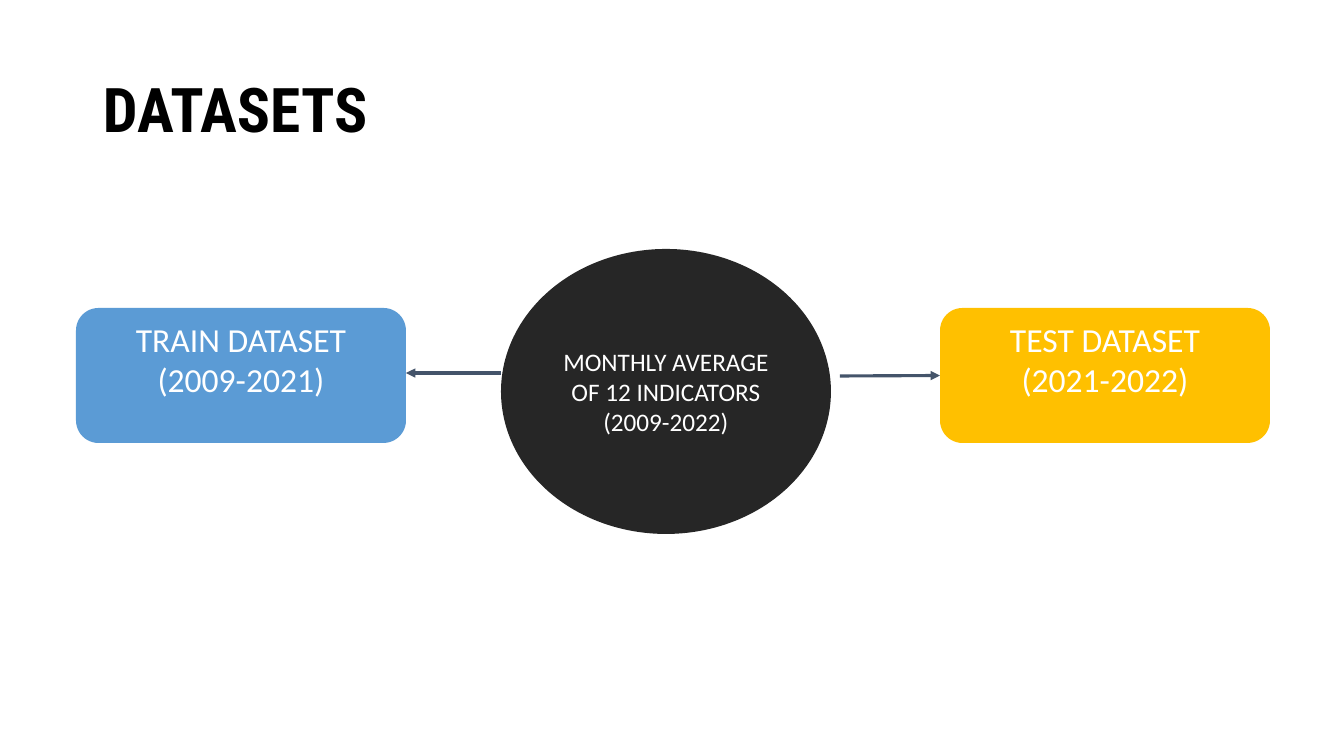
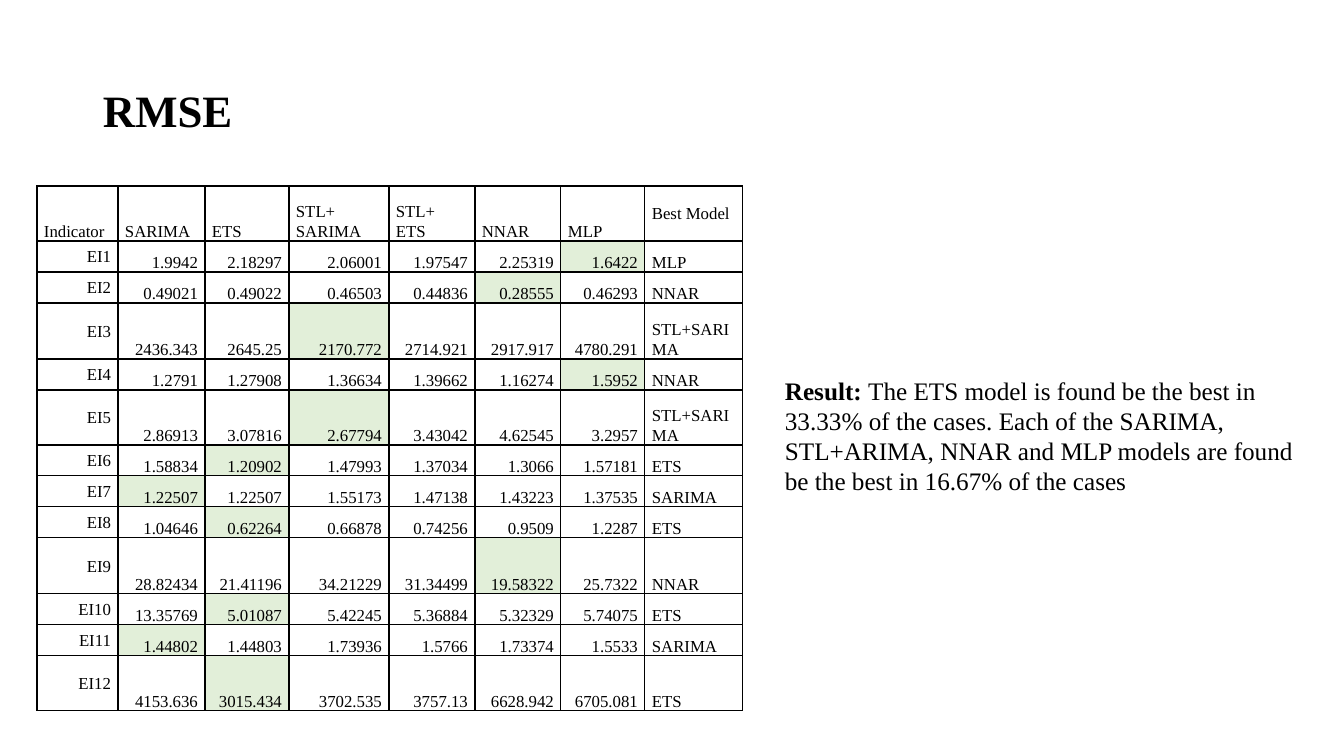
import pptx
import pptx.dml.color
import pptx.enum.shapes
import pptx.enum.text
import pptx.oxml
import pptx.oxml.ns
import pptx.util

RGBColor = pptx.dml.color.RGBColor
SHAPE = pptx.enum.shapes.MSO_SHAPE
ALIGN = pptx.enum.text.PP_ALIGN
ANCHOR = pptx.enum.text.MSO_ANCHOR
Pt = pptx.util.Pt

BLACK = RGBColor(0x00, 0x00, 0x00)
WHITE = RGBColor(0xFF, 0xFF, 0xFF)
BLUE = RGBColor(0x5B, 0x9B, 0xD5)
GOLD = RGBColor(0xFF, 0xC0, 0x00)
DARK = RGBColor(0x26, 0x26, 0x26)
SLATE = RGBColor(0x44, 0x54, 0x6A)
GREEN = RGBColor(0xE2, 0xEF, 0xD9)

SANS = "Calibri"
SERIF = "Times New Roman"
HEAD = "Roboto Condensed"

HEADER = ["Indicator", "SARIMA", "ETS", "STL+\nSARIMA", "STL+\nETS", "NNAR", "MLP", "Best Model"]
# A star marks the shaded value of each row.
SCORES = """
EI1 1.9942 2.18297 2.06001 1.97547 2.25319 1.6422* MLP
EI2 0.49021 0.49022 0.46503 0.44836 0.28555* 0.46293 NNAR
EI3 2436.343 2645.25 2170.772* 2714.921 2917.917 4780.291 STL+SARIMA
EI4 1.2791 1.27908 1.36634 1.39662 1.16274 1.5952* NNAR
EI5 2.86913 3.07816 2.67794* 3.43042 4.62545 3.2957 STL+SARIMA
EI6 1.58834 1.20902* 1.47993 1.37034 1.3066 1.57181 ETS
EI7 1.22507* 1.22507 1.55173 1.47138 1.43223 1.37535 SARIMA
EI8 1.04646 0.62264* 0.66878 0.74256 0.9509 1.2287 ETS
EI9 28.82434 21.41196 34.21229 31.34499 19.58322* 25.7322 NNAR
EI10 13.35769 5.01087* 5.42245 5.36884 5.32329 5.74075 ETS
EI11 1.44802* 1.44803 1.73936 1.5766 1.73374 1.5533 SARIMA
EI12 4153.636 3015.434* 3702.535 3757.13 6628.942 6705.081 ETS
"""
WIDTHS = [81, 87, 84, 100, 86, 86, 84, 98]
HEIGHTS = [55, 31, 31, 56, 31, 55, 31, 31, 31, 56, 31, 31, 55]


def px(*nums):
    """Turn px lengths into EMU."""
    return [round(n * 914400 / 100.8) for n in nums]


def element(xml):
    return pptx.oxml.parse_xml(xml.replace(">", " " + pptx.oxml.ns.nsdecls("a") + ">", 1))


class Deck:
    def __init__(self):
        self.prs = pptx.Presentation()
        self.prs.slide_width, self.prs.slide_height = px(1344, 756)
        self.slide = None

    def page(self, title, size, font):
        """Start a slide with its title."""
        self.slide = self.prs.slides.add_slide(self.prs.slide_layouts[6])
        frame = self.box(93, 40, 1159, 146)
        frame.vertical_anchor = ANCHOR.MIDDLE
        frame.text = title
        self.style(frame, size, font, bold=True, lead=0.9)

    def box(self, *rect):
        frame = self.slide.shapes.add_textbox(*px(*rect)).text_frame
        frame.word_wrap = True
        return frame

    def style(self, frame, size, font, color=BLACK, bold=False, align=ALIGN.LEFT, lead=None):
        for para in frame.paragraphs:
            para.alignment = align
            para.line_spacing = lead
            for run in para.runs:
                run.font.size = Pt(size)
                run.font.name = font
                run.font.color.rgb = color
                run.font.bold = bold

    def node(self, kind, rect, fill, text, size, anchor, pad):
        """Draw a filled shape with centred white text; pad is (across, down)."""
        shape = self.slide.shapes.add_shape(kind, *px(*rect))
        shape.shadow.inherit = False
        shape.fill.solid()
        shape.fill.fore_color.rgb = fill
        shape.line.fill.background()
        frame = shape.text_frame
        frame.word_wrap = True
        frame.vertical_anchor = anchor
        frame.margin_left, frame.margin_top = px(*pad)
        frame.margin_right, frame.margin_bottom = px(*pad)
        frame.text = text
        self.style(frame, size, SANS, WHITE, align=ALIGN.CENTER)
        return shape

    def arrow(self, *ends):
        kind = pptx.enum.shapes.MSO_CONNECTOR.STRAIGHT
        line = self.slide.shapes.add_connector(kind, *px(*ends))
        line.line.color.rgb = SLATE
        line.line.width = Pt(2.25)
        line.line._get_or_add_ln().append(element('<a:tailEnd type="triangle"/>'.replace("/>", "></a:tailEnd>")))
        line._element.spPr.append(element("<a:effectLst></a:effectLst>"))
        return line

    def table(self, left, top, widths, heights, rows):
        rect = px(left, top, sum(widths), sum(heights))
        grid = self.slide.shapes.add_table(len(rows), len(widths), *rect).table
        grid.first_row = grid.horz_banding = False
        for col, width in zip(grid.columns, px(*widths)):
            col.width = width
        for row, height in zip(grid.rows, px(*heights)):
            row.height = height
        for r, row in enumerate(rows):
            for c, text in enumerate(row):
                self.cell(grid.cell(r, c), text, r == 0, c == 0, c == len(row) - 1)

    def cell(self, cell, text, head, first, last):
        cell.margin_left, cell.margin_right, cell.margin_top, cell.margin_bottom = px(7, 7, 0, 0)
        middle = last if head else first
        cell.vertical_anchor = ANCHOR.MIDDLE if middle else ANCHOR.BOTTOM
        for side in "LRTB":
            cell._tc.get_or_add_tcPr().append(element(
                f'<a:ln{side} w="12700"><a:solidFill><a:srgbClr val="{BLACK}"/></a:solidFill></a:ln{side}>'))
        if text.endswith("*"):
            cell.fill.solid()
            cell.fill.fore_color.rgb = GREEN
        else:
            cell.fill.background()
        cell.text_frame.text = text.rstrip("*")
        align = ALIGN.LEFT if head or last else ALIGN.RIGHT
        self.style(cell.text_frame, 12, SERIF, align=align, lead=1.07)

    def note(self, rect, lead, text):
        """Write a paragraph that opens with bold words."""
        frame = self.box(*rect)
        frame.text = lead
        frame.paragraphs[0].add_run().text = text
        self.style(frame, 18, SERIF)
        frame.paragraphs[0].runs[0].font.bold = True


def main():
    deck = Deck()

    deck.page("DATASETS", 44, HEAD)
    sets = [(76, BLUE, "TRAIN DATASET\n(2009-2021)"), (940, GOLD, "TEST DATASET\n(2021-2022)")]
    train, test = [
        deck.node(SHAPE.ROUNDED_RECTANGLE, (left, 308, 330, 135), fill, text, 24, ANCHOR.TOP, (10, 4))
        for left, fill, text in sets]
    deck.node(SHAPE.OVAL, (501, 249, 330, 285), DARK,
              "MONTHLY AVERAGE OF 12 INDICATORS\n(2009-2022)", 18, ANCHOR.MIDDLE, (0, 0))
    deck.arrow(501, 373, 406, 373)
    deck.arrow(840, 376, 940, 376).end_connect(test, 1)

    deck.page("RMSE", 32, SERIF)
    rows = [HEADER] + [line.split() for line in SCORES.strip().splitlines()]
    deck.table(37, 186, WIDTHS, HEIGHTS, rows)
    deck.note((775, 370, 549, 132), "Result: ",
              "The ETS model is found be the best in 33.33% of the cases. "
              "Each of the SARIMA, STL+ARIMA, NNAR and MLP models are found "
              "be the best in 16.67% of the cases")

    deck.prs.save("out.pptx")


if __name__ == "__main__":
    main()
